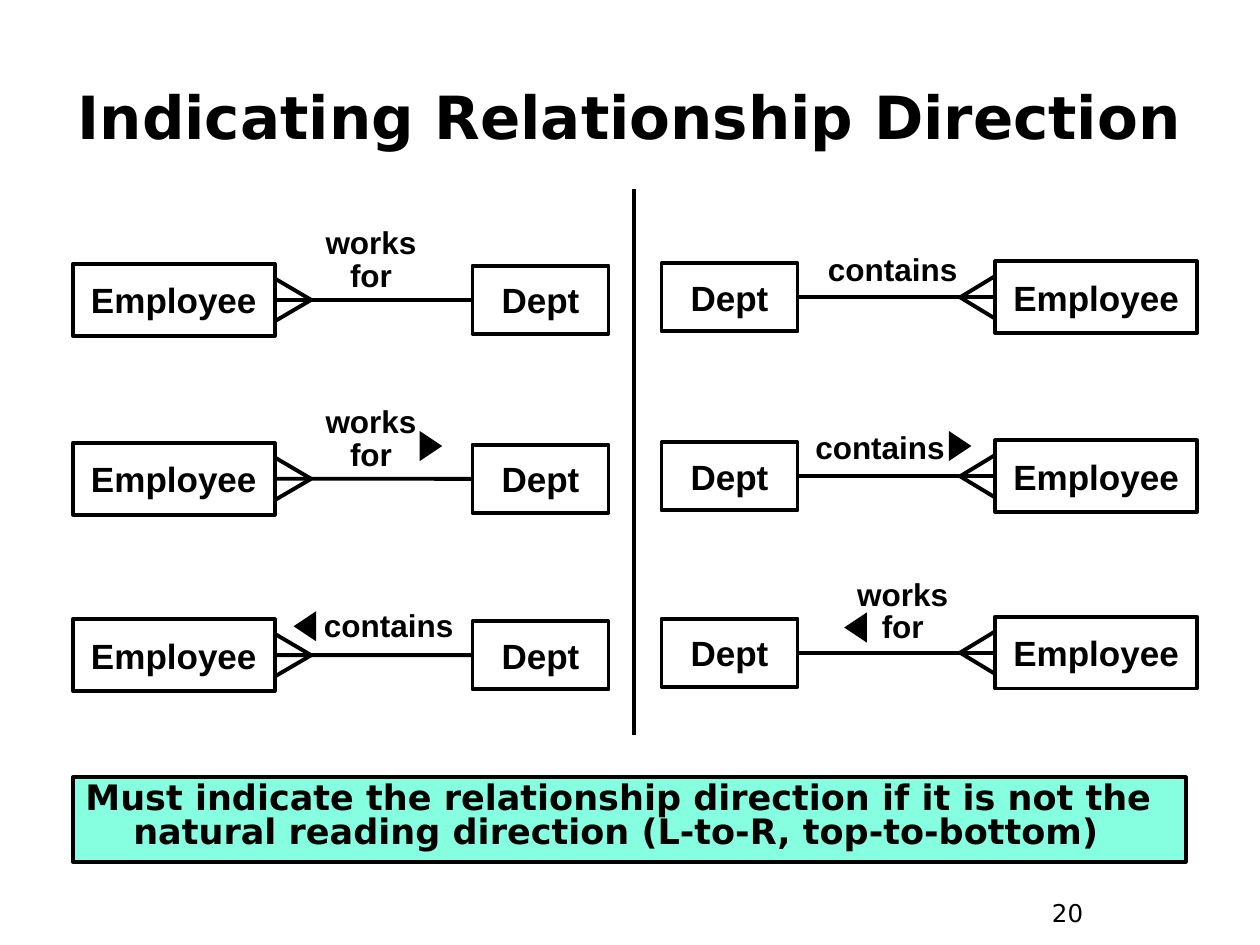
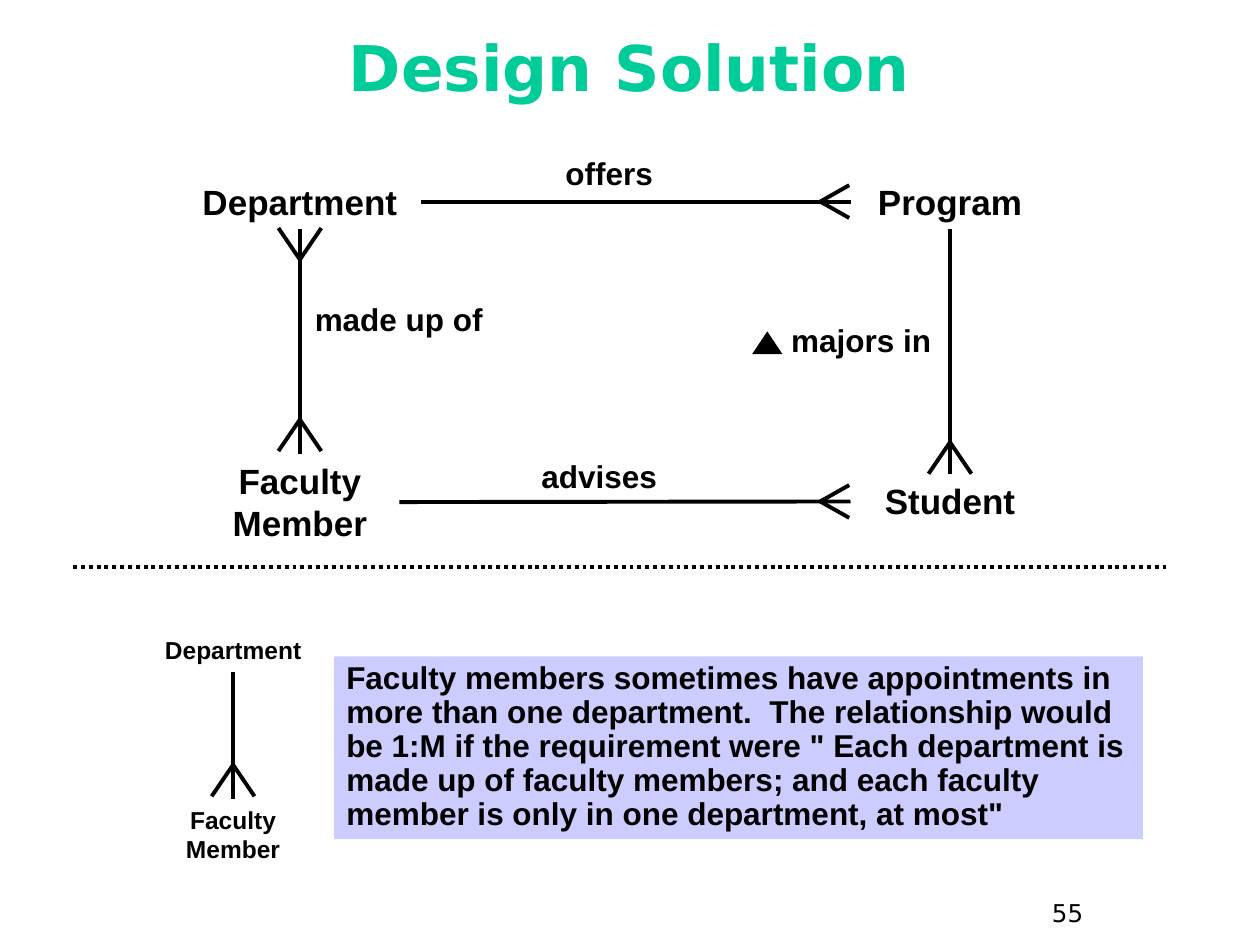
import pptx
import pptx.util
import pptx.dml.color
import pptx.enum.dml
import pptx.enum.shapes
import pptx.enum.text
import pptx.oxml.ns
from lxml import etree

Inches = pptx.util.Inches
Pt = pptx.util.Pt
SHAPE = pptx.enum.shapes.MSO_SHAPE
ALIGN = pptx.enum.text.PP_ALIGN
ANCHOR = pptx.enum.text.MSO_ANCHOR
TOP, LEFT, BOTTOM, RIGHT = range(4)
COLORS = {"ink": "000000", "green": "00CC99", "mint": "85FFDF", "lilac": "CCCCFF"}
SANS = "DejaVu Sans"
ARIAL = "Arial"


def color(name):
    return pptx.dml.color.RGBColor.from_string(COLORS[name])


class Deck:
    def __init__(self):
        self.prs = pptx.Presentation()
        self.prs.slide_width = Inches(10)
        self.prs.slide_height = Inches(7.5)
        self.slide = None

    def page(self, title, top, size, number, tint="ink"):
        self.slide = self.prs.slides.add_slide(self.prs.slide_layouts[6])
        self.text(0.33, top, 9.33, 0.83, title, size, font=SANS, tint=tint,
                  anchor=ANCHOR.MIDDLE)
        self.text(8.25, 7.08, 0.75, 0.37, number, 14, font=SANS, bold=False,
                  align=ALIGN.LEFT)

    def label(self, shape, text, size, font=ARIAL, tint="ink", bold=True,
              align=ALIGN.CENTER, anchor=ANCHOR.TOP, space=None):
        frame = shape.text_frame
        frame.word_wrap = True
        frame.vertical_anchor = anchor
        par = frame.paragraphs[0]
        par.text = text
        par.alignment = align
        if space:
            par.line_spacing = space
        for run in par.runs:
            run.font.name = font
            run.font.size = Pt(size)
            run.font.bold = bold
            run.font.color.rgb = color(tint)
        return par

    def text(self, x, y, w, h, text, size, **style):
        box = self.slide.shapes.add_textbox(Inches(x), Inches(y), Inches(w), Inches(h))
        self.label(box, text, size, **style)
        return box

    def shape(self, kind, x, y, w, h, fill=None, line=True):
        item = self.slide.shapes.add_shape(kind, Inches(x), Inches(y), Inches(w), Inches(h))
        item.shadow.inherit = False
        if fill:
            item.fill.solid()
            item.fill.fore_color.rgb = color(fill)
        else:
            item.fill.background()
        if line:
            item.line.color.rgb = color("ink")
            item.line.width = Pt(2.25)
        else:
            item.line.fill.background()
        return item

    def entity(self, x, mid, w, h, text):
        box = self.shape(SHAPE.RECTANGLE, x, mid - h / 2, w, h)
        self.label(box, text, 20, anchor=ANCHOR.MIDDLE)
        return box

    def note(self, x, y, w, h, fill, text, size, line=True, **style):
        box = self.shape(SHAPE.RECTANGLE, x, y, w, h, fill, line)
        return self.label(box, text, size, align=ALIGN.LEFT, **style)

    def line(self, x1, y1, x2, y2, dash=None):
        wire = self.slide.shapes.add_connector(
            pptx.enum.shapes.MSO_CONNECTOR.STRAIGHT,
            Inches(x1), Inches(y1), Inches(x2), Inches(y2))
        wire.line.color.rgb = color("ink")
        wire.line.width = Pt(2.25)
        if dash:
            wire.line.dash_style = dash
        etree.SubElement(wire._element.spPr, pptx.oxml.ns.qn("a:effectLst"))
        return wire

    def join(self, start, side, end, other):
        wire = self.line(0, 0, 1, 1)
        wire.begin_connect(start, side)
        wire.end_connect(end, other)

    def foot(self, x, y, reach, spread, upright=False):
        for off in (-spread, spread):
            dx, dy = (off, reach) if upright else (reach, off)
            self.line(x, y, x + dx, y + dy)

    def arrow(self, x, y, turn=0):
        item = self.shape(SHAPE.ISOSCELES_TRIANGLE, x, y, 0.24, 0.18, "ink", line=False)
        item.rotation = turn


def directions(deck):
    deck.page("Indicating Relationship Direction", 0.5, 34, "20")
    works, holds = "works\vfor", "contains"
    rows = [
        (2.38, (works, 2.11, 1.77), (holds, 6.25, 1.98)),
        (3.80, (works, 2.11, 3.19), (holds, 6.15, 3.39)),
        (5.20, (holds, 2.25, 4.81), (works, 6.33, 4.56)),
    ]
    for mid, *labels in rows:
        sides = [(0.58, 3.75, mid, LEFT, RIGHT, 2.47, -0.29),
                 (7.9, 5.25, mid - 0.02, RIGHT, LEFT, 7.62, 0.28)]
        for (staff_x, dept_x, y, out, back, tip, reach), (text, x, top) in zip(sides, labels):
            dept = deck.entity(dept_x, y, 1.08, 0.54, "Dept")
            staff = deck.entity(staff_x, y, 1.6, 0.57, "Employee")
            deck.join(dept, out, staff, back)
            deck.foot(tip, y, reach, 0.17)
            deck.text(x, top, 1.67, 0.61 if text == works else 0.36, text, 18, space=0.85)
    deck.line(5.03, 1.5, 5.03, 5.83)
    for x, y, turn in [(3.3, 3.45, 90), (7.5, 3.45, 90), (2.3, 4.88, 270), (6.67, 4.89, 270)]:
        deck.arrow(x, y, turn)
    par = deck.note(0.58, 6.17, 8.83, 0.67, "mint",
                    "Must indicate the relationship direction if it is not the natural "
                    "reading direction (L-to-R, top-to-bottom)", 20, font=SANS, space=0.8)
    props = par._p.get_or_add_pPr()
    props.set("marL", str(Inches(0.38)))
    props.set("indent", str(Inches(-0.38)))


def solution(deck):
    deck.page("Design Solution", 0.11, 36, "55", tint="green")
    dept = deck.text(1.42, 1.38, 1.92, 0.44, "Department", 20)
    staff = deck.text(1.59, 3.6, 1.58, 0.77, "Faculty\vMember", 20)
    program = deck.text(6.75, 1.38, 1.58, 0.44, "Program", 20)
    student = deck.text(6.75, 3.76, 1.58, 0.44, "Student", 20)
    small_dept = deck.text(0.89, 4.99, 1.92, 0.34, "Department", 14)
    small_staff = deck.text(1.06, 6.34, 1.58, 0.57, "Faculty\vMember", 14)
    for upper, lower in [(dept, staff), (program, student), (small_dept, small_staff)]:
        deck.join(upper, BOTTOM, lower, TOP)
    for first, last in [(dept, program), (staff, student)]:
        deck.join(first, RIGHT, last, LEFT)
    for x, y, reach in [(2.38, 3.33, 0.25), (2.38, 2.06, -0.25),
                        (7.54, 3.51, 0.25), (1.85, 6.07, 0.25)]:
        deck.foot(x, y, reach, 0.17, upright=True)
    for y in (1.6, 3.98):
        deck.foot(6.51, y, 0.23, 0.13)
    for text, x, y in [("made up of", 2.33, 2.33), ("offers", 4, 1.17),
                       ("majors in", 6, 2.5), ("advises", 3.92, 3.58)]:
        deck.text(x, y, 1.67, 0.4, text, 18)
    deck.arrow(5.97, 2.63)
    deck.line(0.58, 4.5, 9.25, 4.5, pptx.enum.dml.MSO_LINE.ROUND_DOT)
    deck.note(2.65, 5.21, 6.42, 1.45, "lilac",
              "Faculty members sometimes have appointments in more than one department.  "
              "The relationship would be 1:M if the requirement were \" Each department is "
              "made up of faculty members; and each faculty member is only in one "
              "department, at most\"", 18, line=False, space=0.9)


def main():
    deck = Deck()
    directions(deck)
    solution(deck)
    deck.prs.save("out.pptx")


if __name__ == "__main__":
    main()
